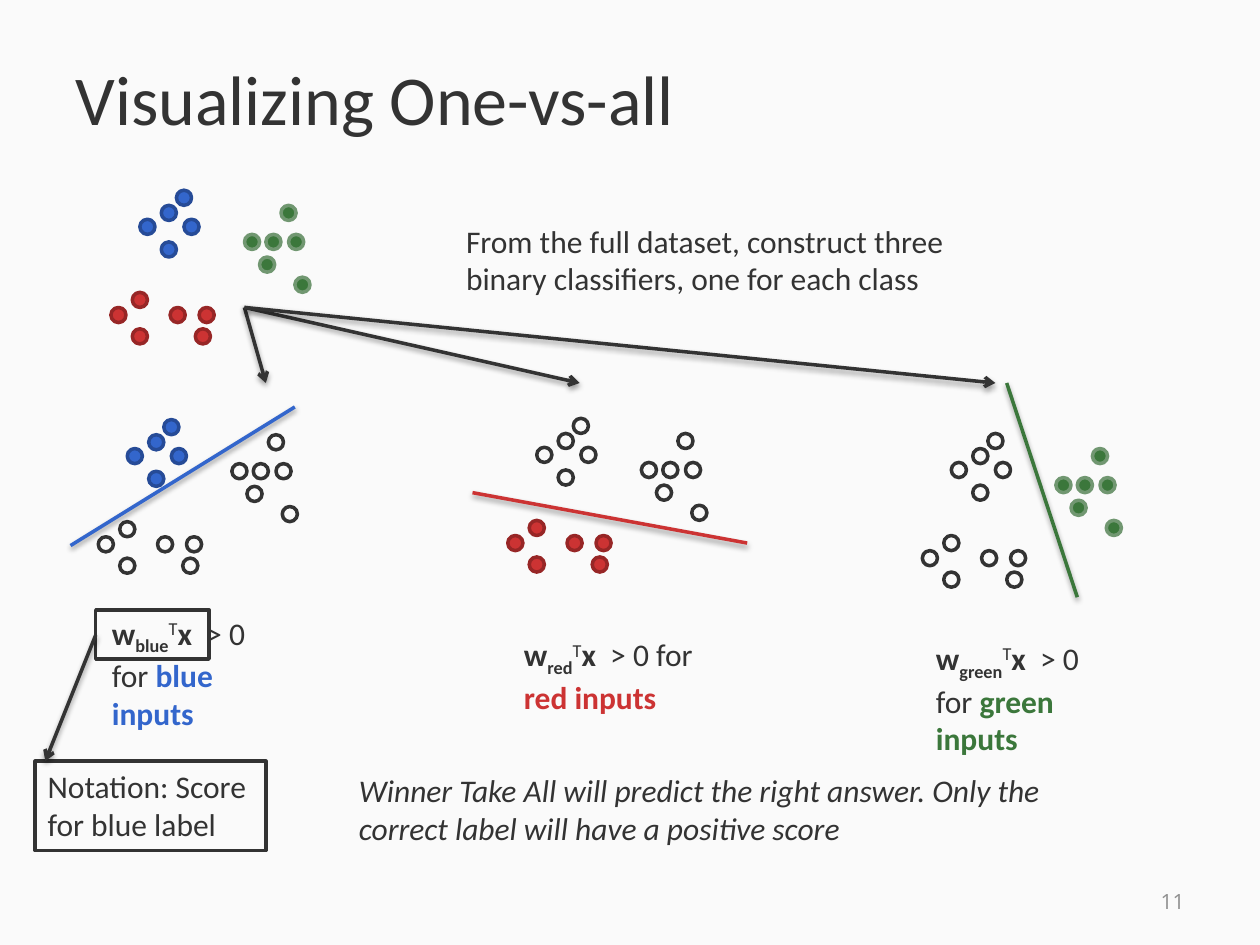
from dataclasses import dataclass

from lxml.etree import SubElement
from pptx import Presentation
from pptx.dml.color import RGBColor
from pptx.enum.shapes import MSO_CONNECTOR as Connector, MSO_SHAPE as Preset
from pptx.enum.text import MSO_ANCHOR as Anchor, PP_ALIGN as Align
from pptx.oxml.ns import qn
from pptx.util import Emu, Pt

PX = 9144  # one px is a hundredth of an inch

PAPER = RGBColor(0xFA, 0xFA, 0xFA)
INK = RGBColor(0x33, 0x33, 0x33)
GREY = RGBColor(0x90, 0x90, 0x90)
BLUE, BLUE_RIM = RGBColor(0x33, 0x66, 0xCC), RGBColor(0x26, 0x4B, 0x97)
RED, RED_RIM = RGBColor(0xCC, 0x33, 0x33), RGBColor(0x97, 0x26, 0x26)
GREEN, GREEN_RIM = RGBColor(0x3B, 0x77, 0x3B), RGBColor(0x71, 0x97, 0x71)

Point = tuple[int, int]
Box = tuple[int, int, int, int]
DOT = 12
LINE_WIDTH = Pt(2)


@dataclass(frozen=True)
class Cluster:
    name: str
    fill: RGBColor
    rim: RGBColor
    dots: tuple[Point, ...]


@dataclass(frozen=True)
class Classifier:
    target: str
    color: RGBColor
    origin: Point
    start: Point
    end: Point
    label: Point


@dataclass(frozen=True)
class Span:
    text: str
    format: dict
    baseline: int = 0


CLUSTERS = (
    Cluster("blue", BLUE, BLUE_RIM,
            ((40, 12), (52, 0), (23, 23), (58, 23), (40, 41))),
    Cluster("red", RED, RED_RIM,
            ((70, 93), (17, 81), (47, 93), (0, 93), (67, 110), (17, 110))),
    Cluster("green", GREEN, GREEN_RIM,
            ((118, 53), (146, 69), (135, 12), (106, 35), (141, 35), (123, 35))),
)
DATASET_ORIGIN = (88, 151)
CLASSIFIERS = (
    Classifier("blue", BLUE, (78, 333), (56, 433), (234, 323), (79, 482)),
    Classifier("red", RED, (403, 332), (375, 391), (593, 431), (406, 499)),
    Classifier("green", GREEN, (732, 344), (799, 304), (855, 474), (733, 502)),
)
ARROW_START = (194, 244)
ARROW_ENDS = ((211, 304), (460, 304), (790, 304))


def emu(lengths: tuple[int, ...]) -> list[Emu]:
    return [Emu(length * PX) for length in lengths]


def write(frame, spans: list[Span], size: int = 18, color: RGBColor = INK,
          font: str = "Calibri", align: Align = Align.LEFT,
          anchor: Anchor = Anchor.TOP) -> None:
    frame.word_wrap = True
    frame.vertical_anchor = anchor
    para = frame.paragraphs[0]
    para.alignment = align
    for span in spans:
        run = para.add_run()
        run.text = span.text
        values = {"name": font, "size": Pt(size), "color": color} | span.format
        run.font.color.rgb = values.pop("color")
        for key, value in values.items():
            setattr(run.font, key, value)
        if span.baseline:
            run._r.get_or_add_rPr().set("baseline", str(span.baseline * 1000))


def add_text(shapes, box: Box, spans: list[Span], **layout) -> None:
    write(shapes.add_textbox(*emu(box)).text_frame, spans, **layout)


def add_outlined(shapes, preset: Preset, box: Box, rim: RGBColor,
                 fill: RGBColor | None = None):
    shape = shapes.add_shape(preset, *emu(box))
    shape.shadow.inherit = False
    shape.line.color.rgb = rim
    shape.line.width = LINE_WIDTH
    if fill is None:
        shape.fill.background()
    else:
        shape.fill.solid()
        shape.fill.fore_color.rgb = fill
    return shape


def add_line(shapes, start: Point, end: Point, color: RGBColor,
             arrow: bool = False) -> None:
    """Draw a line with a soft shadow below it."""
    line = shapes.add_connector(Connector.STRAIGHT, *emu(start + end))
    line.line.color.rgb = color
    line.line.width = LINE_WIDTH
    if arrow:
        SubElement(line.line._get_or_add_ln(), qn("a:tailEnd"), type="arrow")
    effects = SubElement(line._element.spPr, qn("a:effectLst"))
    shadow = SubElement(effects, qn("a:outerShdw"), blurRad="40000",
                        dist="20000", dir="5400000", rotWithShape="0")
    black = SubElement(shadow, qn("a:srgbClr"), val="000000")
    SubElement(black, qn("a:alpha"), val="38000")


def add_dots(shapes, origin: Point, target: str | None = None) -> None:
    """Draw all clusters, leaving every one but the target hollow if one is given."""
    for cluster in CLUSTERS:
        colored = target in (None, cluster.name)
        rim, fill = (cluster.rim, cluster.fill) if colored else (INK, PAPER)
        for x, y in cluster.dots:
            box = (origin[0] + x, origin[1] + y, DOT, DOT)
            add_outlined(shapes, Preset.OVAL, box, rim, fill)


def add_classifier(shapes, item: Classifier) -> None:
    add_dots(shapes, item.origin, item.target)
    add_line(shapes, item.start, item.end, item.color)
    bold = {"bold": True}
    add_text(shapes, item.label + (156, 101), [
        Span("w", bold),
        Span(item.target, bold, -25),
        Span("T", {}, 30),
        Span("x ", bold),
        Span(" > 0 for ", {}),
        Span(f"{item.target} inputs", bold | {"color": item.color}),
    ])


def add_notation(shapes) -> None:
    note = add_outlined(shapes, Preset.RECTANGLE, (28, 604, 183, 71), INK, PAPER)
    write(note.text_frame, [Span("Notation: Score for blue label", {})])
    add_outlined(shapes, Preset.RECTANGLE, (76, 484, 90, 39), INK)
    add_line(shapes, (76, 504), (36, 604), INK, arrow=True)


def main() -> None:
    deck = Presentation()
    deck.slide_width, deck.slide_height = emu((1000, 750))
    page = deck.slides.add_slide(deck.slide_layouts[5])
    page.background.fill.solid()
    page.background.fill.fore_color.rgb = PAPER
    shapes = page.shapes

    title = shapes.title
    title.left, title.top, title.width, title.height = emu((50, 15, 900, 125))
    write(title.text_frame, [Span("Visualizing One-vs-all", {})], size=40,
          anchor=Anchor.MIDDLE)

    add_dots(shapes.add_group_shape().shapes, DATASET_ORIGIN)
    add_text(shapes, (360, 171, 441, 71), [Span(
        "From the full dataset, construct three binary classifiers, "
        "one for each class", {})])
    for item in CLASSIFIERS:
        add_classifier(shapes.add_group_shape().shapes, item)
    add_text(shapes, (275, 607, 586, 71), [Span(
        "Winner Take All will predict the right answer. Only the correct label "
        "will have a positive score", {"italic": True})])
    add_notation(shapes.add_group_shape().shapes)
    add_text(shapes, (717, 695, 233, 40), [Span("11", {})], size=12, color=GREY,
             font="Open Sans", align=Align.RIGHT, anchor=Anchor.MIDDLE)
    for end in ARROW_ENDS:
        add_line(shapes, ARROW_START, end, INK, arrow=True)

    deck.save("out.pptx")


if __name__ == "__main__":
    main()
